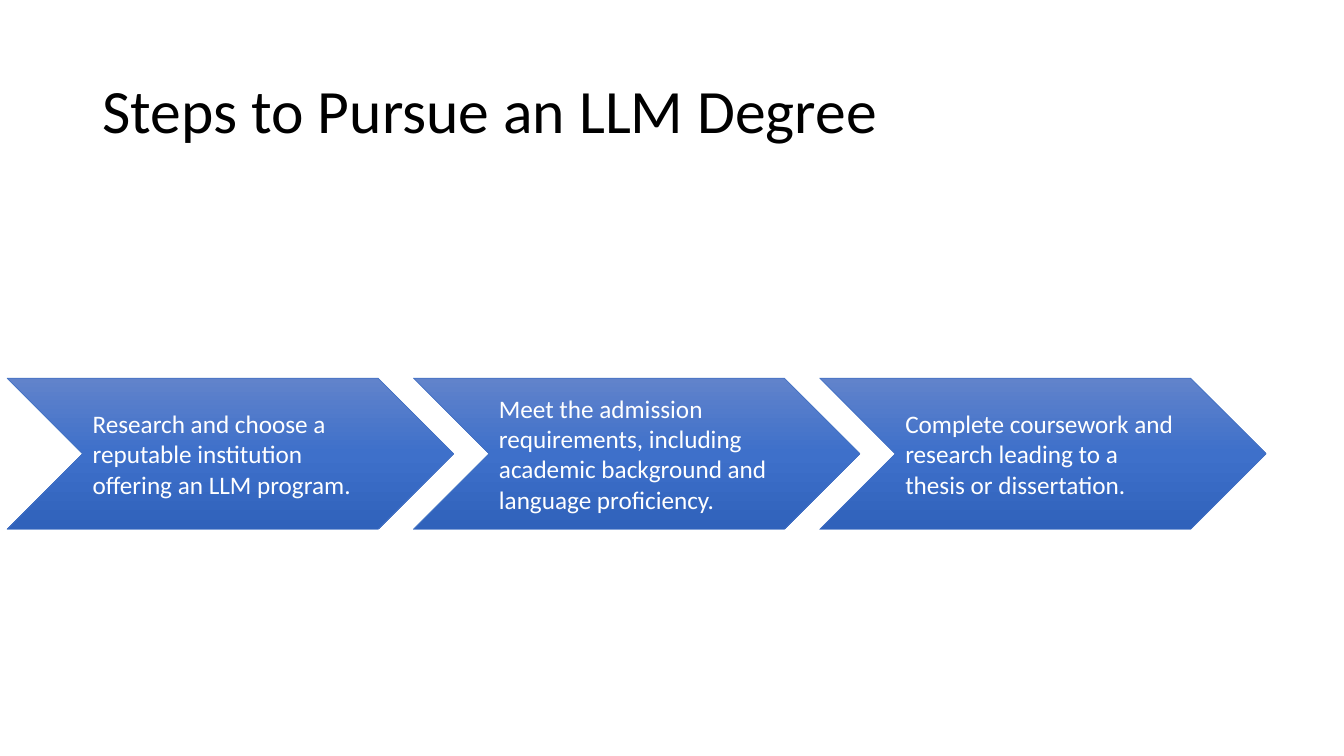
"""Build a slide with the three steps to an LLM degree as a row of chevrons."""
from copy import deepcopy

from pptx import Presentation
from pptx import util as u
from pptx.dml.color import RGBColor
from pptx.enum import shapes, text
from pptx.oxml.ns import qn

TITLE = "Steps to Pursue an LLM Degree"
STEPS = [
    "Research and choose a reputable institution offering an LLM program.",
    "Meet the admission requirements, including academic background and language proficiency.",
    "Complete coursework and research leading to a thesis or dissertation.",
]
COLORS = {
    "title": "000000",
    "step": "FFFFFF",
    "line": "4472C4",
    "top": "6183CB",
    "middle": "3E70CA",
    "bottom": "3062BB",
}
GRADIENT = [(0, "top"), (0.5, "middle"), (1, "bottom")]
LEFT, TOP, WIDTH, HEIGHT, PITCH = 0.18, 9.53, 11.25, 3.81, 10.24


def rgb(name):
    return RGBColor.from_string(COLORS[name])


def write(tf, content, size, color):
    tf.word_wrap = True
    tf.auto_size = text.MSO_AUTO_SIZE.NONE
    tf.vertical_anchor = text.MSO_ANCHOR.MIDDLE
    p = tf.paragraphs[0]
    p.alignment = text.PP_ALIGN.LEFT
    r = p.add_run()
    r.text = content
    r.font.name = "Calibri"
    r.font.size = u.Pt(size)
    r.font.color.rgb = rgb(color)
    return p


def fill_gradient(sp):
    sp.fill.gradient()
    sp.fill.gradient_angle = 270
    stops = sp._element.spPr.find(qn("a:gradFill")).find(qn("a:gsLst"))
    stops.append(deepcopy(stops[0]))
    for stop, (position, color) in zip(sp.fill.gradient_stops, GRADIENT):
        stop.position = position
        stop.color.rgb = rgb(color)


def add_step(s, i, content):
    sp = s.shapes.add_shape(
        shapes.MSO_SHAPE.CHEVRON,
        u.Cm(LEFT + i * PITCH), u.Cm(TOP), u.Cm(WIDTH), u.Cm(HEIGHT),
    )
    sp.shadow.inherit = False
    fill_gradient(sp)
    sp.line.color.rgb = rgb("line")
    sp.line.width = u.Pt(0.5)
    tf = sp.text_frame
    tf.margin_left, tf.margin_right = u.Cm(0.25), u.Cm(0.3)
    write(tf, content, 18, "step")


def main():
    prs = Presentation()
    prs.slide_width, prs.slide_height = u.Cm(33.87), u.Cm(19.05)
    s = prs.slides.add_slide(prs.slide_layouts[5])
    title = s.shapes.title
    title.left, title.top = u.Cm(2.33), u.Cm(1.01)
    title.width, title.height = u.Cm(29.21), u.Cm(3.68)
    write(title.text_frame, TITLE, 44, "title").line_spacing = 0.9
    for i, content in enumerate(STEPS):
        add_step(s, i, content)
    prs.save("out.pptx")


if __name__ == "__main__":
    main()
